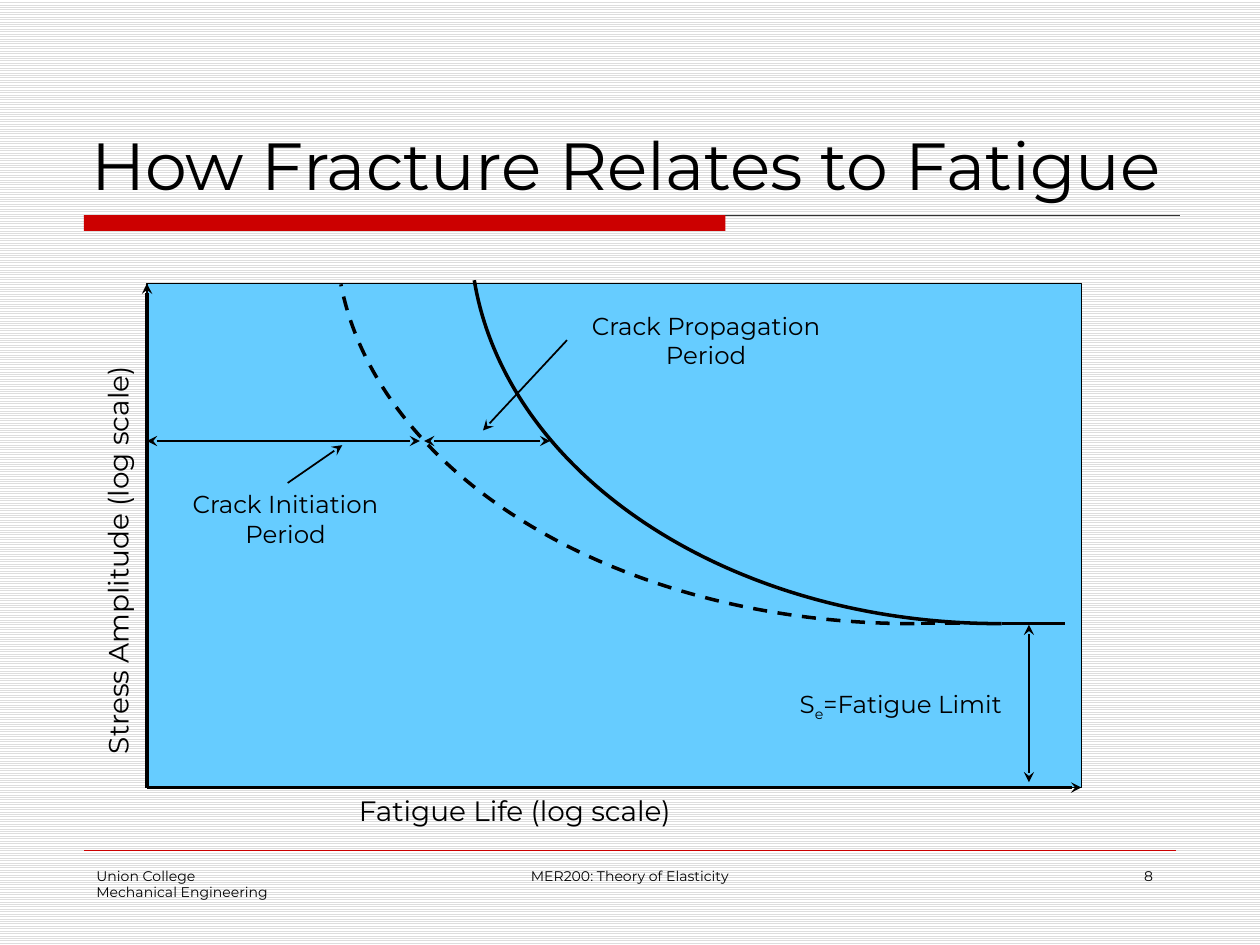
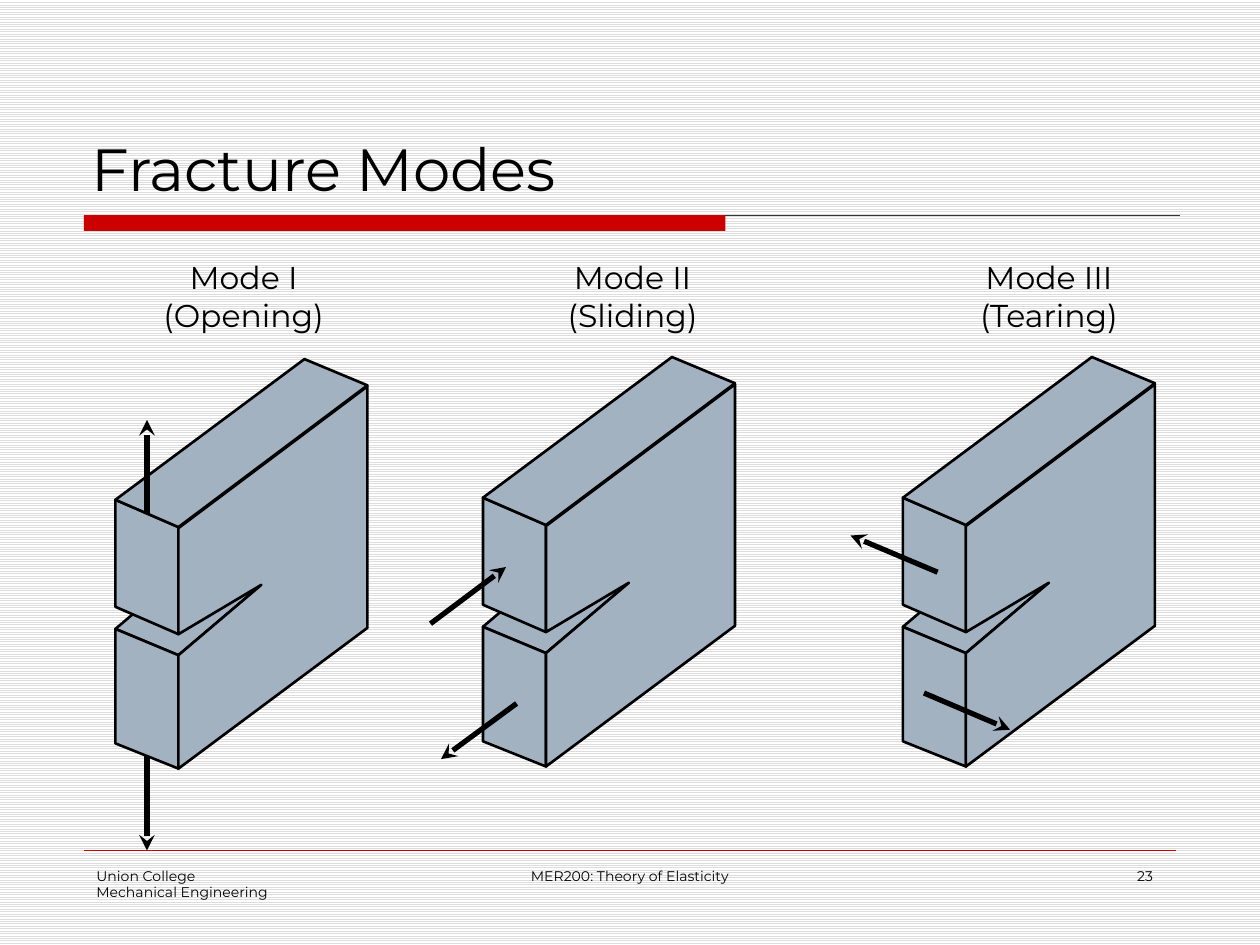
"""Two slides on fatigue and fracture, laid out on a grid of twelve cells to the inch."""
from pptx import Presentation
from pptx import util as u
from pptx.dml.color import RGBColor
from pptx.enum import dml, shapes, text
from pptx.oxml.ns import qn
from lxml import etree

FONT = "Montserrat"
BLACK, WHITE, STRIPE, RED, RULE = "000000", "FFFFFF", "DDDDDD", "CC0000", "333333"
SKY, STEEL = "66CCFF", "A3B2C1"
LEFT, CENTER, RIGHT = text.PP_ALIGN.LEFT, text.PP_ALIGN.CENTER, text.PP_ALIGN.RIGHT

COLLEGE = ["Union College", "Mechanical Engineering"]
COURSE = ["MER200: Theory of Elasticity"]

PLOT = (14, 27, 89, 48)
ARC_ANGLES = (53.782, 104.916)
CURVES = [
    ((32, -15, 109.7, 74.4), (87.7, 93.7), True),
    ((44.8, -15, 100.7, 74.4), (95.4, 101.4), False),
]
LIMIT_ROW = 59.4
PLOT_ARROWS = [
    ((14, 75), (14, 27), 2, False),
    ((14, 75), (103, 75), 2, False),
    ((14, 42), (40, 42), 1.5, True),
    ((40.4, 42), (52.4, 42), 1.5, True),
    ((27.4, 46), (32.6, 42.4), 1, False),
    ((54, 32.4), (46, 41), 1, False),
    ((98, 59.5), (98, 74.5), 1, True),
]
AXIS_LABELS = [
    (["Stress Amplitude (log scale)"], (-10.8, 48.8, 44, 4.4), 270),
    (["Fatigue Life (log scale)"], (33, 75, 36, 4.4), 0),
]
PLOT_LABELS = [
    (["Crack Initiation", "Period"], (16, 46, 22.4, 6.8)),
    (["Crack Propagation", "Period"], (54, 29, 26.5, 6.8)),
    ([[("S", 0), ("e", -25), ("=Fatigue Limit", 0)]], (74, 65, 23.6, 4.1)),
]

BLOCK_FACES = [
    [(0, 25.7), (6, 28.2), (13.9, 21.5), (7.9, 19)],
    [(0, 36.6), (6, 39), (6, 28.2), (0, 25.7)],
    [(6, 26.2), (6, 16), (0, 13.4), (0, 23.6)],
    [(6, 16), (24, 2.5), (18, 0), (0, 13.4)],
    [(6, 26.2), (6, 16.1), (24, 2.6), (24, 25.6), (6, 39), (6, 28.2), (13.9, 21.5)],
]
MODES = [
    (["Mode I", "(Opening)"], (14, 24, 18.4, 8.5), (11, 34.2),
     [((14, 49), (14, 40)), ((14, 72), (14, 81))]),
    (["Mode II", "(Sliding)"], (52.2, 24, 16.1, 8.5), (46, 34),
     [((49.2, 67), (42, 72.3)), ((41, 59.4), (48.2, 54))]),
    (["Mode III", "(Tearing)"], (91.3, 24, 17.2, 8.5), (86, 34),
     [((89.3, 54.5), (81, 51)), ((88, 66), (96.2, 69.5))]),
]


def cells(*values):
    return [u.Inches(v / 12) for v in values]


def rgb(value):
    return RGBColor.from_string(value)


def paint(sp, fill=None, line=None, width=1):
    sp.shadow.inherit = False
    if fill:
        sp.fill.solid()
        sp.fill.fore_color.rgb = rgb(fill)
    else:
        sp.fill.background()
    if line:
        sp.line.color.rgb = rgb(line)
        sp.line.width = u.Pt(width)
    else:
        sp.line.fill.background()


def add_text(s, lines, box, size, align=LEFT, wrap=True, rotation=0, anchor=text.MSO_ANCHOR.TOP):
    sp = s.shapes.add_textbox(*cells(*box))
    sp.rotation = rotation
    tf = sp.text_frame
    tf.word_wrap = wrap
    tf.vertical_anchor = anchor
    if not wrap:
        tf.auto_size = text.MSO_AUTO_SIZE.SHAPE_TO_FIT_TEXT
    for i, line in enumerate(lines):
        p = tf.paragraphs[0] if i == 0 else tf.add_paragraph()
        p.alignment = align
        p.font.name, p.font.size, p.font.color.rgb = FONT, u.Pt(size), rgb(BLACK)
        for words, shift in [(line, 0)] if isinstance(line, str) else line:
            r = p.add_run()
            r.text = words
            r.font.name, r.font.size, r.font.color.rgb = FONT, u.Pt(size), rgb(BLACK)
            if shift:
                r._r.get_or_add_rPr().set("baseline", str(shift * 1000))


def add_line(s, start, end, width, color=BLACK, dashed=False, ends=()):
    c = s.shapes.add_connector(shapes.MSO_CONNECTOR.STRAIGHT, *cells(*start, *end))
    c.line.color.rgb = rgb(color)
    c.line.width = u.Pt(width)
    if dashed:
        c.line.dash_style = dml.MSO_LINE.DASH
    for end_name in ends:
        etree.SubElement(c.line._get_or_add_ln(), qn(f"a:{end_name}"), type="stealth")
    etree.SubElement(c._element.spPr, qn("a:effectLst"))


def add_arrow(s, start, end, width, double=False):
    add_line(s, start, end, width, ends=("headEnd", "tailEnd") if double else ("tailEnd",))


def add_slide(prs, title, title_size, number):
    s = prs.slides.add_slide(prs.slide_layouts[6])
    fill = s.background.fill
    fill.patterned()
    fill.pattern = dml.MSO_PATTERN.LIGHT_HORIZONTAL
    fill.fore_color.rgb, fill.back_color.rgb = rgb(STRIPE), rgb(WHITE)
    add_line(s, (8, 20.5), (112.4, 20.5), 0.75, RULE)
    band = s.shapes.add_shape(shapes.MSO_SHAPE.RECTANGLE, *cells(8, 20.5, 61.1, 1.5))
    paint(band, RED)
    add_line(s, (8, 81), (112, 81), 0.25, RED)
    add_text(s, [title], (7.5, 4, 105, 16), title_size, anchor=text.MSO_ANCHOR.BOTTOM)
    add_text(s, COLLEGE, (8, 82, 25, 6), 8)
    add_text(s, COURSE, (41, 82, 38, 6), 8, CENTER)
    add_text(s, [str(number)], (86, 82, 25, 6), 8, RIGHT)
    return s


def draw_fatigue_plot(s):
    plot = s.shapes.add_shape(shapes.MSO_SHAPE.RECTANGLE, *cells(*PLOT))
    paint(plot, SKY, BLACK, 0)
    for box, (x1, x2), dashed in CURVES:
        arc = s.shapes.add_shape(shapes.MSO_SHAPE.ARC, *cells(*box))
        arc.adjustments[0], arc.adjustments[1] = ARC_ANGLES
        paint(arc, line=BLACK, width=2)
        if dashed:
            arc.line.dash_style = dml.MSO_LINE.DASH
        add_line(s, (x1, LIMIT_ROW), (x2, LIMIT_ROW), 2, dashed=dashed)
    for arrow in PLOT_ARROWS:
        add_arrow(s, *arrow)
    for lines, box, rotation in AXIS_LABELS:
        add_text(s, lines, box, 16, wrap=False, rotation=rotation)
    for lines, box in PLOT_LABELS:
        add_text(s, lines, box, 14, CENTER, wrap=False)


def draw_block(s, left, top):
    group = s.shapes.add_group_shape()
    for face in BLOCK_FACES:
        points = [cells(left + x, top + y) for x, y in face]
        outline = group.shapes.build_freeform(*points[0])
        outline.add_line_segments(points[1:], close=True)
        paint(outline.convert_to_shape(), STEEL, BLACK, 1.5)


def draw_modes(s):
    for lines, box, corner, arrows in MODES:
        draw_block(s, *corner)
        for start, end in arrows:
            add_arrow(s, start, end, 3)
        add_text(s, lines, box, 18, CENTER, wrap=False)


def main():
    prs = Presentation()
    prs.slide_width, prs.slide_height = cells(120, 90)
    draw_fatigue_plot(add_slide(prs, "How Fracture Relates to Fatigue", 38, 8))
    draw_modes(add_slide(prs, "Fracture Modes", 34, 23))
    prs.save("out.pptx")


if __name__ == "__main__":
    main()
